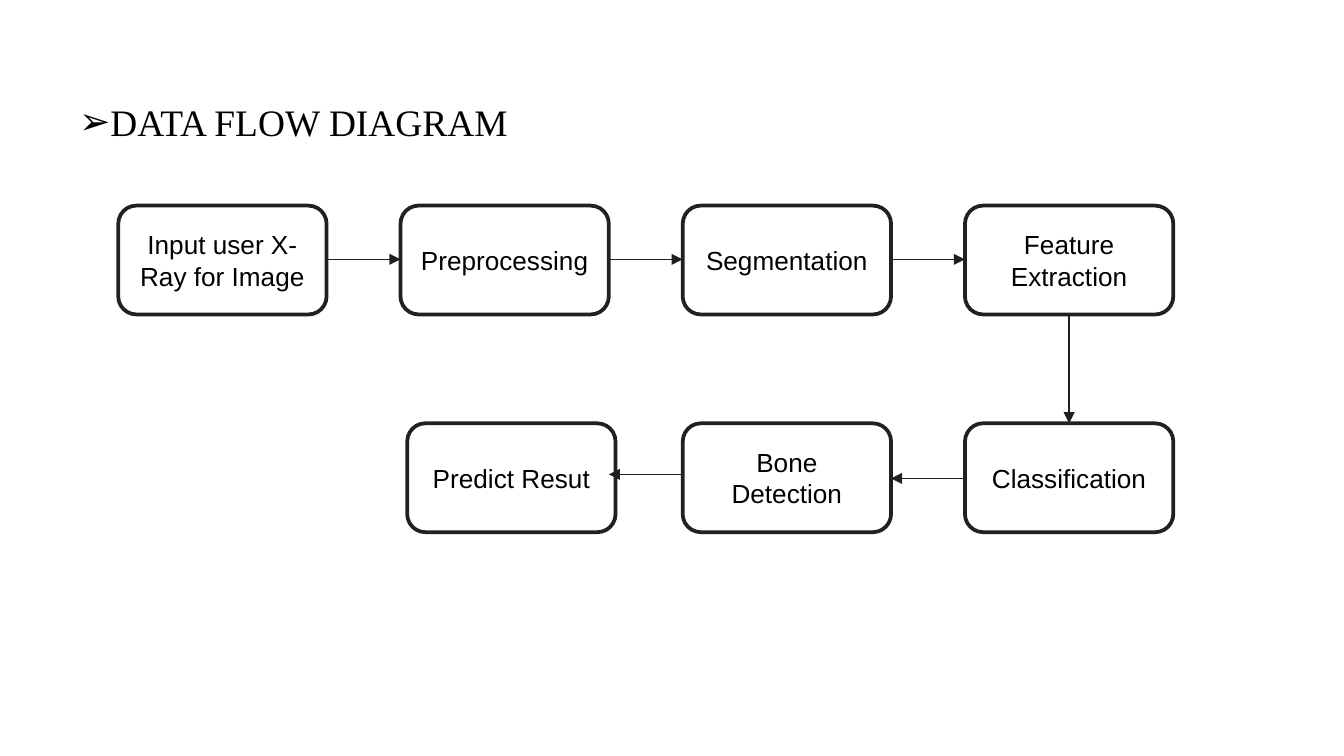
from pptx import Presentation
from pptx.dml.color import RGBColor
from pptx.enum import shapes, text
from pptx.oxml.ns import qn
from pptx.util import Inches, Pt
from lxml import etree

COLORS = {"paper": "FFFFFF", "ink": "000000", "border": "212121", "arrow": "202020"}

BOX_WIDTH, BOX_HEIGHT = 1.55, 0.81
FIRST_LEFT, COLUMN_STEP = 0.88, 2.1
TOP_ROW, BOTTOM_ROW = 1.53, 3.15
COLUMNS = [FIRST_LEFT + i * COLUMN_STEP for i in range(4)]
RESULT_LEFT = 3.03

TOP_STEPS = ["Input user X-Ray for Image", "Preprocessing", "Segmentation",
             "Feature Extraction"]
BOTTOM_STEPS = [("Bone Detection", COLUMNS[2]), ("Classification", COLUMNS[3]),
                ("Predict Resut", RESULT_LEFT)]


def color(name):
    return RGBColor.from_string(COLORS[name])


def style_text(para, name, size):
    for span in para.runs:
        span.font.name = name
        span.font.size = Pt(size)
        span.font.color.rgb = color("ink")


def add_step(page, label, left, top):
    box = page.shapes.add_shape(
        shapes.MSO_SHAPE.ROUNDED_RECTANGLE, Inches(left), Inches(top),
        Inches(BOX_WIDTH), Inches(BOX_HEIGHT))
    box.shadow.inherit = False
    box.fill.solid()
    box.fill.fore_color.rgb = color("paper")
    box.line.color.rgb = color("border")
    box.line.width = Pt(2)
    frame = box.text_frame
    frame.text = label
    frame.word_wrap = True
    frame.vertical_anchor = text.MSO_ANCHOR.MIDDLE
    para = frame.paragraphs[0]
    para.alignment = text.PP_ALIGN.CENTER
    style_text(para, "Arial", 14)


def add_arrow(page, start, end):
    arrow = page.shapes.add_connector(
        shapes.MSO_CONNECTOR.STRAIGHT, *(Inches(value) for value in start + end))
    arrow.line.color.rgb = color("arrow")
    arrow.line.width = Pt(0.75)
    line = arrow._element.spPr.find(qn("a:ln"))
    etree.SubElement(line, qn("a:tailEnd"), type="triangle")
    etree.SubElement(arrow._element.spPr, qn("a:effectLst"))


def add_heading(page, label):
    box = page.shapes.add_textbox(Inches(0.49), Inches(0.69), Inches(3.49), Inches(0.44))
    frame = box.text_frame
    frame.text = label
    frame.word_wrap = False
    frame.auto_size = text.MSO_AUTO_SIZE.SHAPE_TO_FIT_TEXT
    para = frame.paragraphs[0]
    properties = para._p.get_or_add_pPr()
    bullet_color = etree.SubElement(properties, qn("a:buClr"))
    etree.SubElement(bullet_color, qn("a:srgbClr"), val=COLORS["ink"])
    etree.SubElement(properties, qn("a:buFont"), typeface="Arial")
    etree.SubElement(properties, qn("a:buChar"), char="➢")
    style_text(para, "Times New Roman", 20)


def main():
    deck = Presentation()
    deck.slide_width = Inches(10)
    deck.slide_height = deck.slide_width * 9 // 16
    page = deck.slides.add_slide(deck.slide_layouts[6])

    for label, left in zip(TOP_STEPS, COLUMNS):
        add_step(page, label, left, TOP_ROW)
    for label, left in BOTTOM_STEPS:
        add_step(page, label, left, BOTTOM_ROW)

    top_middle = TOP_ROW + 0.4
    for left, following in zip(COLUMNS, COLUMNS[1:]):
        add_arrow(page, (left + BOX_WIDTH, top_middle), (following, top_middle))
    last_center = COLUMNS[3] + BOX_WIDTH / 2
    add_arrow(page, (last_center, TOP_ROW + BOX_HEIGHT), (last_center, BOTTOM_ROW))
    for column, y in ((3, 3.56), (2, 3.53)):
        add_arrow(page, (COLUMNS[column], y), (COLUMNS[column - 1] + BOX_WIDTH, y))

    add_heading(page, "DATA FLOW DIAGRAM")
    deck.save("out.pptx")


if __name__ == "__main__":
    main()
